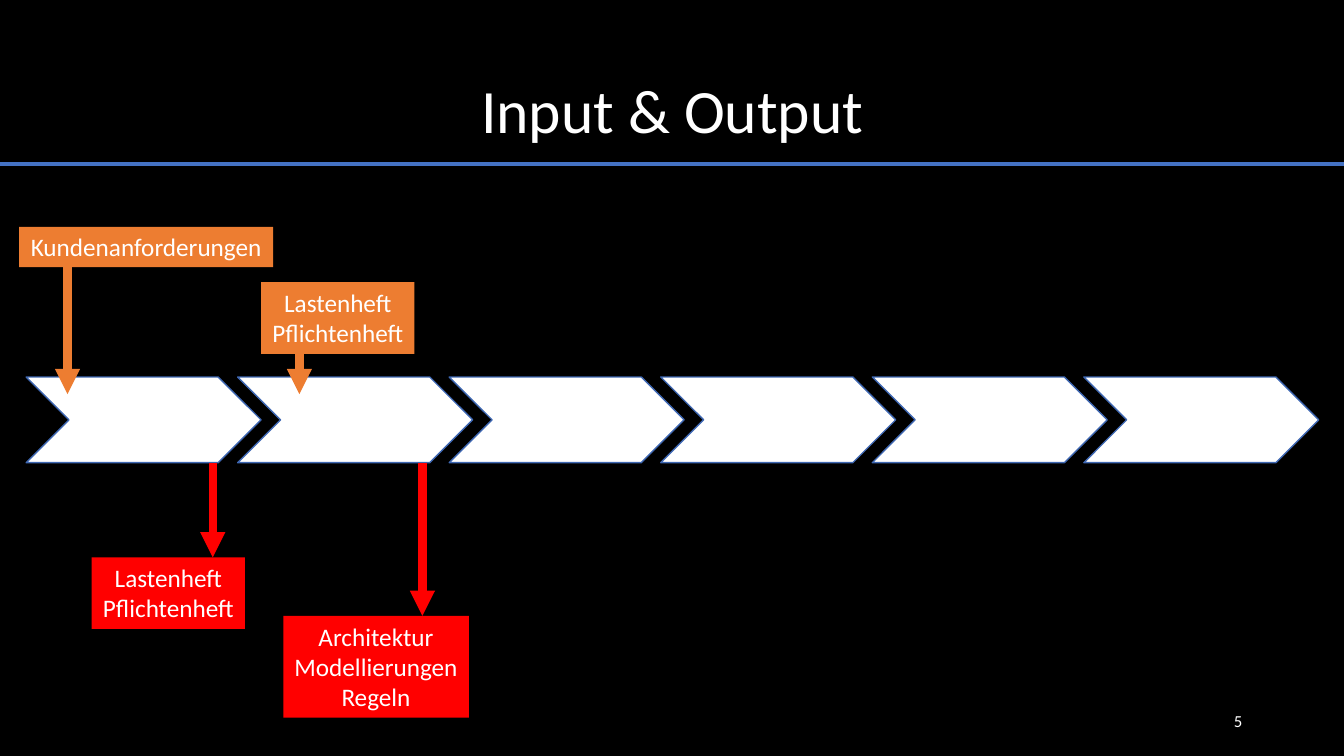
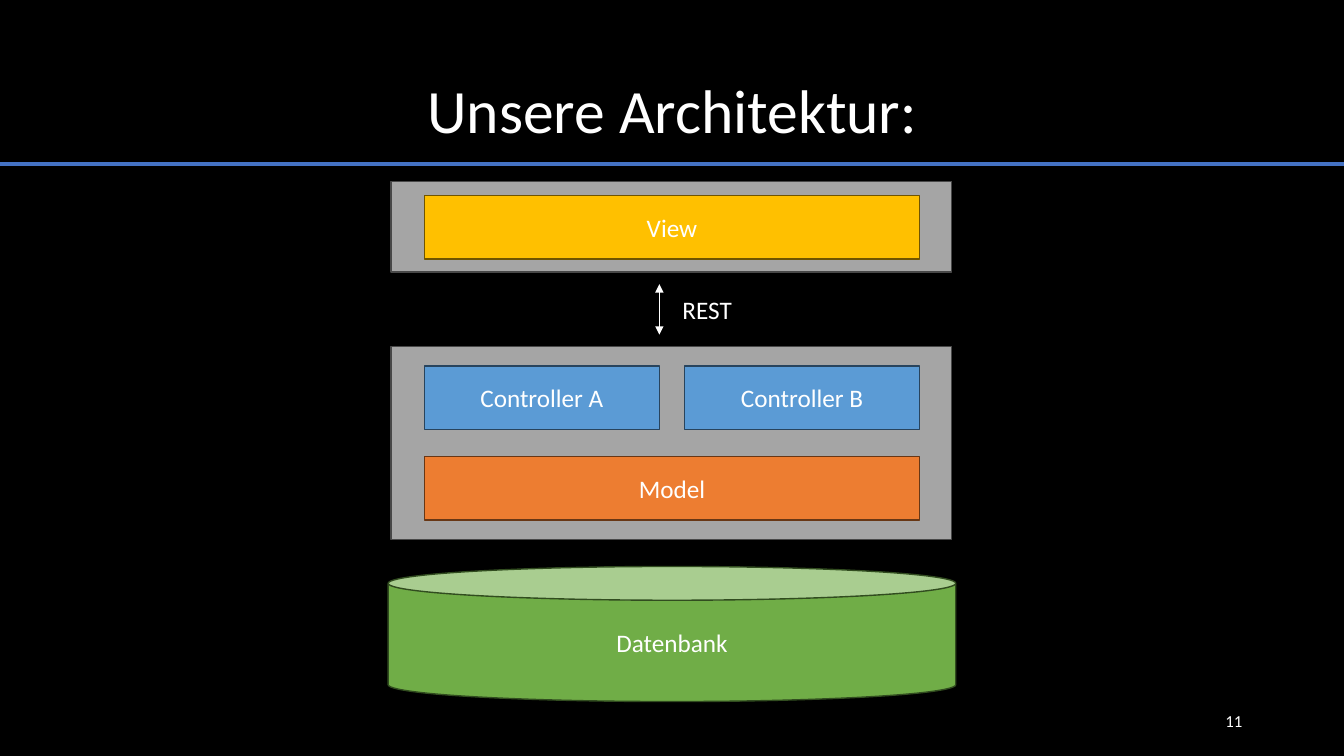
from lxml import etree
from pptx import Presentation
from pptx.dml.color import RGBColor
from pptx.enum.shapes import MSO_CONNECTOR, MSO_SHAPE
from pptx.enum.text import MSO_ANCHOR, MSO_AUTO_SIZE, PP_ALIGN
from pptx.oxml.ns import qn
from pptx.util import Inches, Pt

RECTANGLE, CHEVRON, CAN = MSO_SHAPE.RECTANGLE, MSO_SHAPE.CHEVRON, MSO_SHAPE.CAN
STRAIGHT = MSO_CONNECTOR.STRAIGHT
LEFT, CENTER, RIGHT = PP_ALIGN.LEFT, PP_ALIGN.CENTER, PP_ALIGN.RIGHT
TOP, MIDDLE = MSO_ANCHOR.TOP, MSO_ANCHOR.MIDDLE
FIT_SHAPE = MSO_AUTO_SIZE.SHAPE_TO_FIT_TEXT
NO_FIT = MSO_AUTO_SIZE.NONE

BLACK = RGBColor(0x00, 0x00, 0x00)
WHITE = RGBColor(0xFF, 0xFF, 0xFF)
RULE_BLUE = RGBColor(0x44, 0x72, 0xC4)
CHEVRON_EDGE = RGBColor(0x3E, 0x67, 0xB2)
ORANGE = RGBColor(0xED, 0x7D, 0x31)
ORANGE_EDGE = RGBColor(0x68, 0x37, 0x15)
RED = RGBColor(0xFF, 0x00, 0x00)
GRAY = RGBColor(0xA5, 0xA5, 0xA5)
GRAY_EDGE = RGBColor(0x48, 0x48, 0x48)
BLUE = RGBColor(0x5B, 0x9B, 0xD5)
BLUE_EDGE = RGBColor(0x28, 0x44, 0x5D)
YELLOW = RGBColor(0xFF, 0xC0, 0x00)
YELLOW_EDGE = RGBColor(0x70, 0x54, 0x00)
GREEN = RGBColor(0x70, 0xAD, 0x47)
GREEN_EDGE = RGBColor(0x31, 0x4C, 0x1F)

FONT = "Calibri"
SLIDE_WIDTH, SLIDE_HEIGHT = 13.33, 7.5
BODY_SIZE = 18

FRAME_FORMAT = {"word_wrap": True, "auto_size": NO_FIT, "vertical_anchor": MIDDLE}
LABEL_FORMAT = {"word_wrap": False, "auto_size": FIT_SHAPE, "vertical_anchor": TOP}


def set_attributes(target, values):
    for name, value in values.items():
        setattr(target, name, value)


def write_text(shape, lines, size=BODY_SIZE, align=CENTER, frame_format=FRAME_FORMAT,
               line_spacing=None):
    frame = shape.text_frame
    set_attributes(frame, frame_format)
    for index, line in enumerate(lines):
        para = frame.paragraphs[0] if index == 0 else frame.add_paragraph()
        set_attributes(para, {"alignment": align, "line_spacing": line_spacing})
        span = para.add_run()
        span.text = line
        set_attributes(span.font, {"name": FONT, "size": Pt(size)})
        span.font.color.rgb = WHITE


def add_text(page, place, lines, **text_format):
    box = page.shapes.add_textbox(*map(Inches, place))
    write_text(box, lines, **text_format)


def add_block(page, kind, place, fill, edge=None, lines=(), **text_format):
    block = page.shapes.add_shape(kind, *map(Inches, place))
    block.shadow.inherit = False
    block.fill.solid()
    block.fill.fore_color.rgb = fill
    if edge is None:
        block.line.fill.background()
    else:
        block.line.color.rgb = edge
        block.line.width = Pt(1)
    if lines:
        write_text(block, lines, **text_format)


def add_line(page, start, end, color, width, arrowheads=()):
    line = page.shapes.add_connector(STRAIGHT, *map(Inches, (*start, *end)))
    line.line.color.rgb = color
    line.line.width = Pt(width)
    properties = line._element.spPr
    outline = properties.find(qn("a:ln"))
    for tag in arrowheads:
        etree.SubElement(outline, qn(tag), type="triangle")
    etree.SubElement(properties, qn("a:effectLst"))


def add_page(deck, title, number):
    page = deck.slides.add_slide(deck.slide_layouts.get_by_name("Title Only"))
    heading = page.shapes.title
    set_attributes(heading, {"left": Inches(0.92), "top": Inches(0.4),
                             "width": Inches(11.5), "height": Inches(1.45)})
    write_text(heading, [title], size=44, line_spacing=0.9)
    add_line(page, (0, 1.63), (SLIDE_WIDTH, 1.63), RULE_BLUE, 3)
    add_text(page, (9.42, 6.95, 3, 0.4), [str(number)], size=12, align=RIGHT)
    return page


def add_label(page, place, color, lines):
    add_block(page, RECTANGLE, place, color, lines=lines, frame_format=LABEL_FORMAT)


def add_flow_arrow(page, x, top, bottom, color):
    add_line(page, (x, top), (x, bottom), color, 6, ["a:tailEnd"])


def build_input_output(deck):
    page = add_page(deck, "Input & Output", 5)
    chevron_top, chevron_height, chevron_pitch = 3.74, 0.85, 2.098
    chevron_bottom = chevron_top + chevron_height
    for step in range(6):
        place = (0.26 + step * chevron_pitch, chevron_top, 2.33, chevron_height)
        add_block(page, CHEVRON, place, WHITE, CHEVRON_EDGE)

    documents = ["Lastenheft", "Pflichtenheft"]
    inputs = [
        ((0.19, 2.25, 2.52, 0.4), ["Kundenanforderungen"], 0.67),
        ((2.59, 2.8, 1.52, 0.71), documents, 2.97),
    ]
    outputs = [
        ((0.91, 5.53, 1.52, 0.71), documents, 2.11),
        ((2.81, 6.11, 1.84, 1.01), ["Architektur", "Modellierungen", "Regeln"], 4.19),
    ]
    for place, lines, arrow_x in inputs:
        add_label(page, place, ORANGE, lines)
        add_flow_arrow(page, arrow_x, place[1] + place[3] - 0.02, 3.91, ORANGE)
    for place, lines, arrow_x in outputs:
        add_label(page, place, RED, lines)
        add_flow_arrow(page, arrow_x, chevron_bottom, place[1], RED)


def build_architecture(deck):
    page = add_page(deck, "Unsere Architektur:", 11)
    for top, height in [(1.8, 0.9), (3.44, 1.91)]:
        add_block(page, RECTANGLE, (3.88, top, 5.56, height), GRAY, GRAY_EDGE)

    left, width, gap, height = 4.21, 4.91, 0.25, 0.63
    half = (width - gap) / 2
    components = [
        ("View", left, 1.94, width, YELLOW, YELLOW_EDGE),
        ("Controller A", left, 3.63, half, BLUE, BLUE_EDGE),
        ("Controller B", left + half + gap, 3.63, half, BLUE, BLUE_EDGE),
        ("Model", left, 4.53, width, ORANGE, ORANGE_EDGE),
    ]
    for name, x, y, component_width, fill, edge in components:
        add_block(page, RECTANGLE, (x, y, component_width, height), fill, edge, [name])
    add_block(page, CAN, (3.85, 5.62, 5.63, 1.34), GREEN, GREEN_EDGE, ["Datenbank"])

    add_line(page, (6.54, 2.82), (6.54, 3.32), WHITE, 0.5, ["a:headEnd", "a:tailEnd"])
    add_text(page, (6.67, 2.87, 0.7, 0.4), ["REST"], align=LEFT, frame_format=LABEL_FORMAT)


def main():
    deck = Presentation()
    set_attributes(deck, {"slide_width": Inches(SLIDE_WIDTH),
                          "slide_height": Inches(SLIDE_HEIGHT)})
    background = deck.slide_master.background.fill
    background.solid()
    background.fore_color.rgb = BLACK
    build_input_output(deck)
    build_architecture(deck)
    deck.save("out.pptx")


if __name__ == "__main__":
    main()
